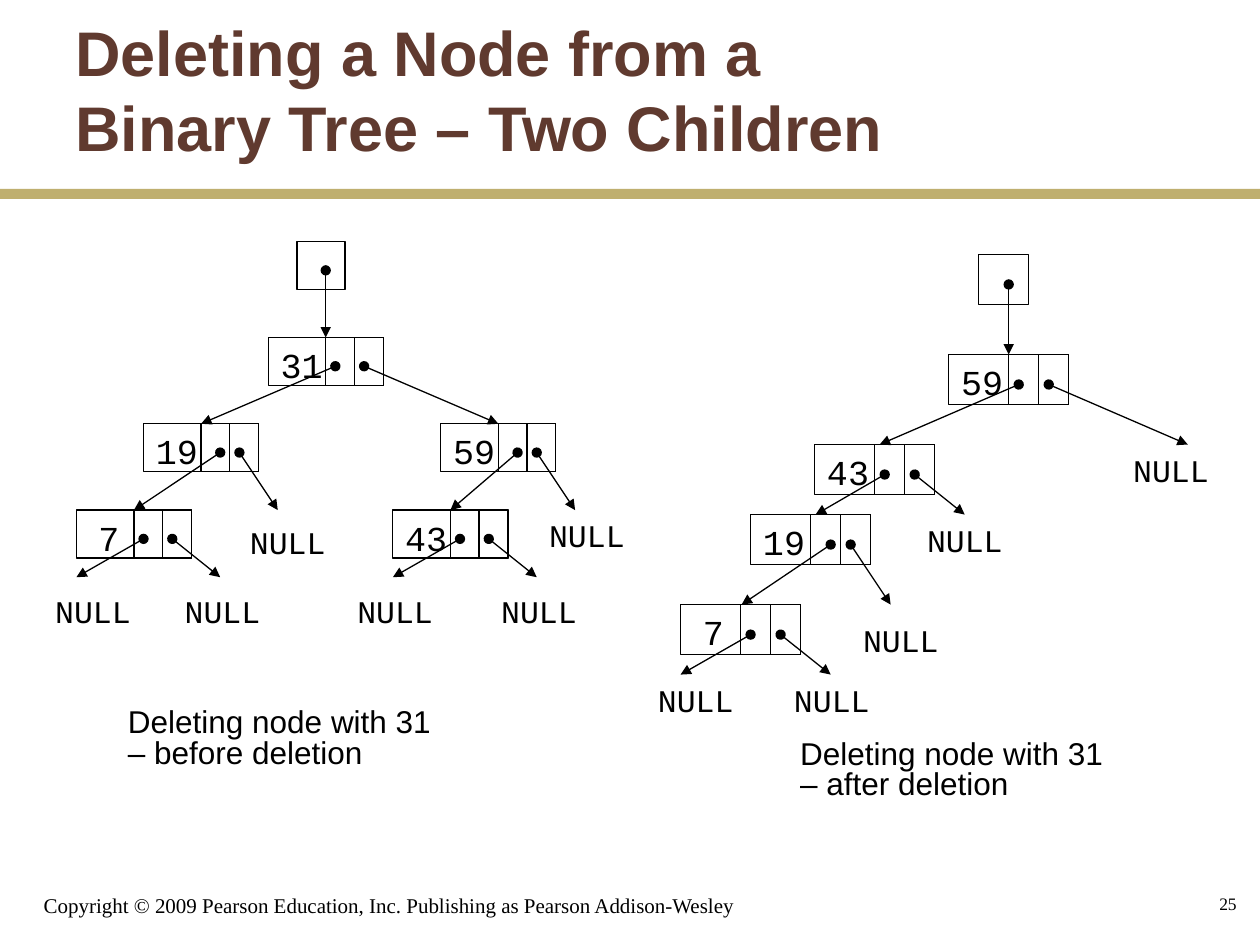
from lxml import etree
from pptx import Presentation, util as u
from pptx.dml.color import RGBColor
from pptx.enum import shapes, text
from pptx.oxml import ns

BLACK = RGBColor(0x00, 0x00, 0x00)
BROWN = RGBColor(0x60, 0x3A, 0x2F)
GOLD = RGBColor(0xBF, 0xAF, 0x6F)
MONO, SANS, SERIF = "Courier New", "Arial", "Times New Roman"

# value, x, y, left dot offset, left target x, right target x, target y
BEFORE = dict(
    left=1.54, top=4.87, width=2.32, root=23,
    nodes=[("31", 20, 10, 7, 13, 44, 19), ("19", 7, 19, 8, 6, 21, 28),
           ("59", 38, 19, 8, 39, 52, 28), ("7", 0, 28, 7, 0, 15, 35),
           ("43", 33, 28, 7, 33, 48, 35)],
    nulls=[(16.8, 28.7), (48, 28), (-3.5, 35.9), (10, 35.9),
           (28, 35.9), (43, 35.9)])
AFTER = dict(
    left=13.72, top=5.13, width=2.42, root=29.8,
    nodes=[("59", 26.8, 10, 7, 19.9, 50.7, 19), ("43", 13.4, 19, 7, 13.5, 28.4, 26),
           ("19", 7, 26, 8, 6.1, 21, 35), ("7", 0, 35, 7, 0, 15, 42)],
    nulls=[(44, 19), (23.4, 26), (17, 36), (-3.5, 42), (10.1, 42)])


def add_text(parent, words, x, y, w, h, size, face, color=BLACK, bold=False,
             wrap=True, anchor=text.MSO_ANCHOR.TOP, align=text.PP_ALIGN.LEFT,
             lead=None):
    """Add a text box with one uniform paragraph."""
    frame = parent.add_textbox(u.Cm(x), u.Cm(y), u.Cm(w), u.Cm(h)).text_frame
    frame.word_wrap, frame.vertical_anchor = wrap, anchor
    para = frame.paragraphs[0]
    para.text, para.alignment = words, align
    if lead:
        para.line_spacing = lead
    font = para.font
    font.name, font.size, font.bold = face, u.Pt(size), bold
    font.color.rgb = color


def add_box(parent, x, y, w, h, fill=None):
    """Add a filled bar, or an outlined cell when no fill is given."""
    box = parent.add_shape(shapes.MSO_SHAPE.RECTANGLE,
                           u.Cm(x), u.Cm(y), u.Cm(w), u.Cm(h))
    box.shadow.inherit = False
    if fill is not None:
        box.fill.solid()
        box.fill.fore_color.rgb = fill
        box.line.fill.background()
    else:
        box.fill.background()
        box.line.color.rgb = BLACK
        box.line.width = u.Pt(0.75)


def add_link(parent, x1, y1, x2, y2):
    """Add a pointer line from a dot to an arrowhead."""
    link = parent.add_connector(shapes.MSO_CONNECTOR.STRAIGHT,
                                u.Cm(x1), u.Cm(y1), u.Cm(x2), u.Cm(y2))
    link.line.color.rgb = BLACK
    link.line.width = u.Pt(0.75)
    line = link.line._get_or_add_ln()
    for tag, kind in (("a:headEnd", "oval"), ("a:tailEnd", "triangle")):
        etree.SubElement(line, ns.qn(tag), type=kind)
    etree.SubElement(link._element.spPr, ns.qn("a:effectLst"))


def add_tree(slide, left, top, width, root, nodes, nulls):
    """Draw a grouped tree on a grid of one twelfth of a node's width."""
    parent = slide.shapes.add_group_shape().shapes
    step = width / 12

    def place(x, y):
        """Turn grid units into centimetres."""
        return left + x * step, top + y * step

    def cell(x, y, w):
        """Add a cell five units high."""
        add_box(parent, *place(x, y), w * step, 5 * step)

    def link(x1, y1, x2, y2):
        """Join two grid points."""
        add_link(parent, *place(x1, y1), *place(x2, y2))

    cell(root, 0, 5)
    link(root + 3, 3, root + 3, 10)
    for value, x, y, dot, low, high, end in nodes:
        cell(x, y, 12)
        cell(x + 6, y, 3)
        cell(x + 9, y, 3)
        link(x + dot, y + 3, low, end)
        link(x + 10, y + 3, high, end)
        short = len(value) == 1
        add_text(parent, value, *place(x + short, y), 0.91 if short else 1.35,
                 1.12, 20, MONO, wrap=False)
    for x, y in nulls:
        add_text(parent, "NULL", *place(x, y), 2.03, 1.02, 18, MONO, wrap=False)


def main():
    """Build and save the slide."""
    deck = Presentation()
    deck.slide_width, deck.slide_height = u.Cm(25.4), u.Cm(19.05)
    slide = deck.slides.add_slide(deck.slide_layouts[6])
    parent = slide.shapes
    middle = text.MSO_ANCHOR.MIDDLE
    add_text(parent, "Copyright © 2009 Pearson Education, Inc. Publishing as "
             "Pearson Addison-Wesley", 0.63, 17.56, 15.44, 1.07, 12, SERIF,
             anchor=text.MSO_ANCHOR.BOTTOM)
    add_box(parent, 0, 3.81, 25.4, 0.2, GOLD)
    add_text(parent, "Deleting a Node from a \vBinary Tree – Two Children",
             1.27, 0.2, 21.16, 3.18, 36, SANS, BROWN, True, anchor=middle)
    add_tree(slide, **BEFORE)
    add_tree(slide, **AFTER)
    for state, x, y in (("before", 2.33, 14.18), ("after", 15.88, 14.81)):
        add_text(parent, f"Deleting node with 31 – {state} deletion",
                 x, y, 7.04, 1.47, 18, SANS, lead=0.8)
    add_text(parent, "25", 19.9, 17.57, 5.28, 1.27, 10, SERIF,
             anchor=middle, align=text.PP_ALIGN.RIGHT)
    deck.save("out.pptx")


if __name__ == "__main__":
    main()
